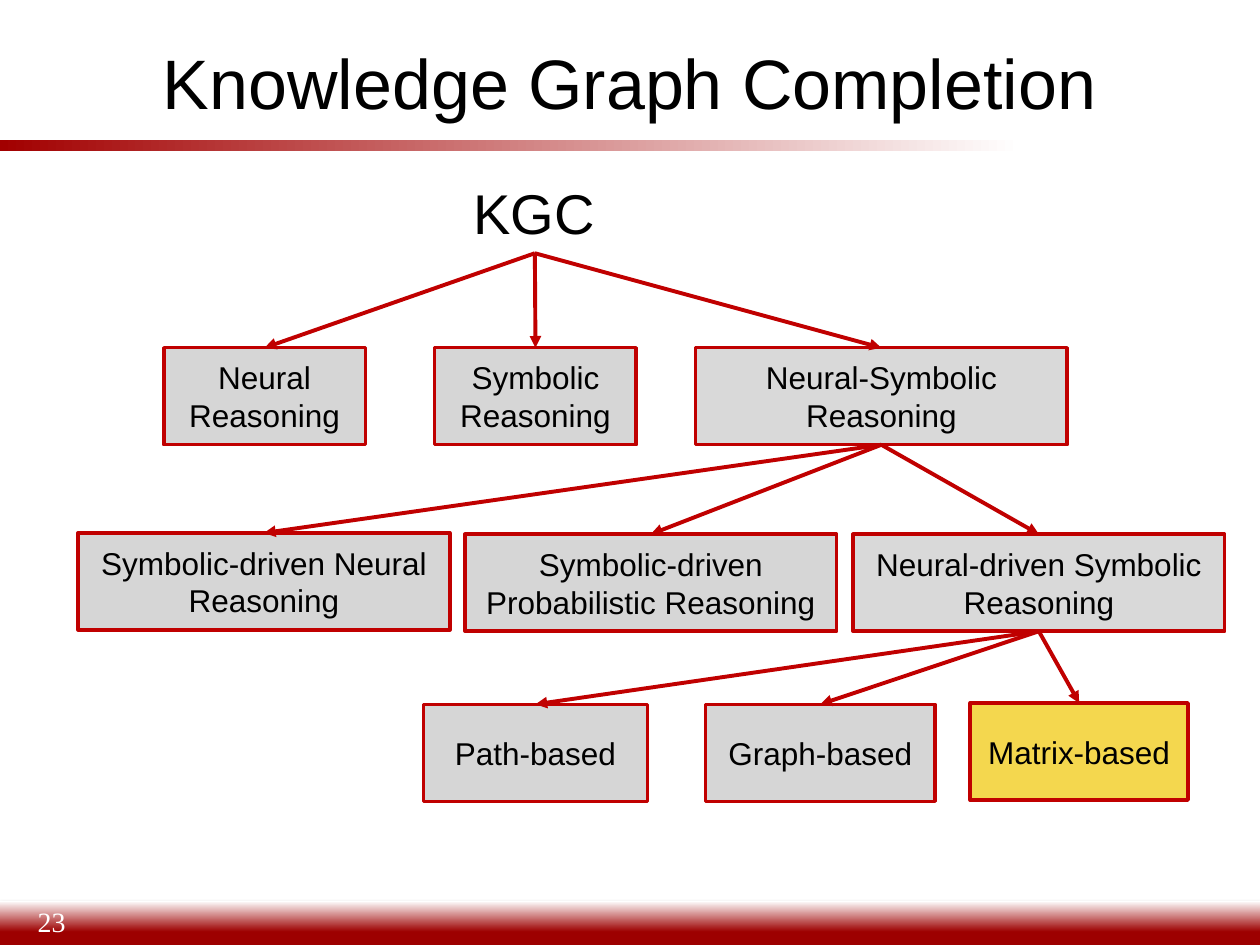
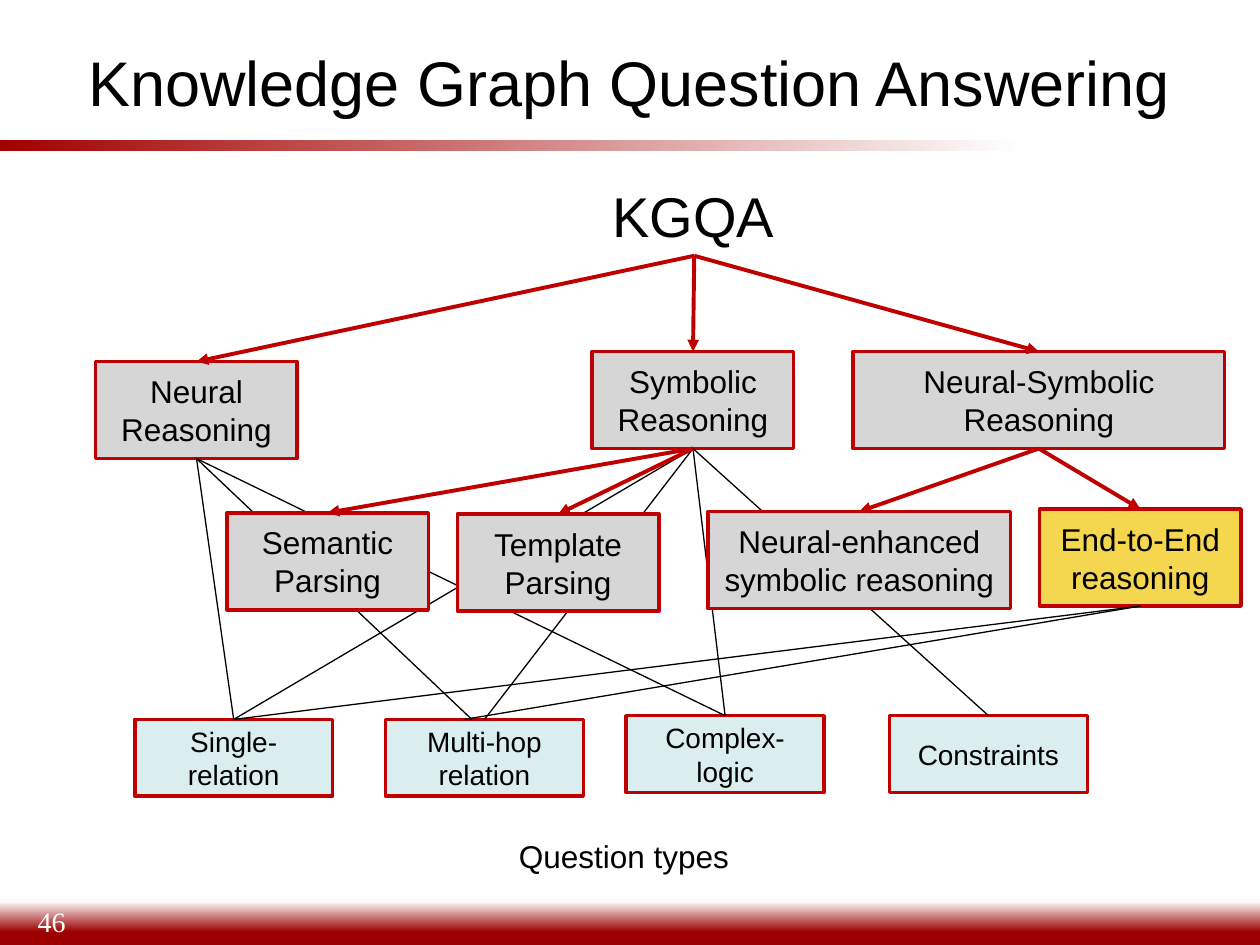
from lxml.etree import SubElement
from pptx import Presentation
from pptx.dml.color import RGBColor
from pptx.enum.shapes import MSO_CONNECTOR, MSO_SHAPE
from pptx.enum.text import MSO_ANCHOR, MSO_AUTO_SIZE, PP_ALIGN
from pptx.oxml.ns import qn
from pptx.util import Inches, Pt

BLACK = RGBColor(0x00, 0x00, 0x00)
WHITE = RGBColor(0xFF, 0xFF, 0xFF)
RED = RGBColor(0xC0, 0x00, 0x00)
BAND_RED = RGBColor(0xA2, 0x00, 0x00)
FOOTER_RED = RGBColor(0x9D, 0x00, 0x00)
GREY = RGBColor(0xD6, 0xD6, 0xD6)
LIGHT_GREY = RGBColor(0xD9, 0xD9, 0xD9)
YELLOW = RGBColor(0xF4, 0xD7, 0x4E)
PALE_BLUE = RGBColor(0xDA, 0xED, 0xEF)

BODY_FONT = "Arial"
NUMBER_FONT = "Times New Roman"
TOP, BOTTOM = 0, 2
METHOD_HEIGHT = 0.77
NARROW, WIDE = 1.6, 2.95
QUESTION_SIZE = (1.57, 0.61)


def set_text(sp, text, size, color=BLACK, font=BODY_FONT, align=PP_ALIGN.LEFT):
    p = sp.text_frame.paragraphs[0]
    p.text = text
    p.alignment = align
    for r in p.runs:
        r.font.size = Pt(size)
        r.font.name = font
        r.font.color.rgb = color


def add_label(slide, text, left, top, width, height, size):
    """Add unwrapped text whose box fits it."""
    sp = slide.shapes.add_textbox(Inches(left), Inches(top), Inches(width), Inches(height))
    sp.text_frame.word_wrap = False
    sp.text_frame.auto_size = MSO_AUTO_SIZE.SHAPE_TO_FIT_TEXT
    set_text(sp, text, size)
    return sp


def add_box(slide, text, left, top, width=NARROW, height=METHOD_HEIGHT, fill=GREY, size=18):
    sp = slide.shapes.add_shape(MSO_SHAPE.RECTANGLE, Inches(left), Inches(top),
                                Inches(width), Inches(height))
    sp.shadow.inherit = False
    sp.fill.solid()
    sp.fill.fore_color.rgb = fill
    sp.line.color.rgb = RED
    sp.line.width = Pt(2)
    sp.text_frame.word_wrap = True
    sp.text_frame.vertical_anchor = MSO_ANCHOR.MIDDLE
    set_text(sp, text, size, align=PP_ALIGN.CENTER)
    return sp


def add_link(slide, parent, child, color=BLACK, width=0.75, shift=0):
    """Join the parent's bottom to the child's top; a shifted end stays free."""
    line = slide.shapes.add_connector(
        MSO_CONNECTOR.STRAIGHT,
        parent.left + parent.width // 2, parent.top + parent.height,
        child.left + child.width // 2 + Inches(shift), child.top)
    line.begin_connect(parent, BOTTOM)
    if not shift:
        line.end_connect(child, TOP)
    line.line.color.rgb = color
    line.line.width = Pt(width)
    SubElement(line._element.spPr, qn("a:effectLst"))
    return line


def add_arrows(slide, parent, children):
    for child in children:
        arrow = add_link(slide, parent, child, RED, 2.25)
        SubElement(arrow.line._get_or_add_ln(), qn("a:tailEnd"), type="triangle")


def add_band(slide, top, height, stops, angle):
    sp = slide.shapes.add_shape(MSO_SHAPE.RECTANGLE, 0, Inches(top), Inches(10), Inches(height))
    sp.shadow.inherit = False
    sp.line.fill.background()
    sp.fill.gradient()
    sp.fill.gradient_angle = angle
    for stop, (position, color) in zip(sp.fill.gradient_stops, stops):
        stop.position = position
        stop.color.rgb = color
    return sp


def add_soft_shadow(sp):
    effects = sp._element.spPr.find(qn("a:effectLst"))
    shadow = SubElement(effects, qn("a:outerShdw"), blurRad=str(Pt(3.1)), dist=str(Pt(1.8)),
                        dir="5400000", rotWithShape="0")
    color = SubElement(shadow, qn("a:srgbClr"), val=str(BLACK))
    SubElement(color, qn("a:alpha"), val="35000")


def add_base_slide(prs, title, title_size, number):
    """Add a slide with the shared bands, page number and title."""
    slide = prs.slides.add_slide(prs.slide_layouts[6])
    add_band(slide, 1.11, 0.09, [(0, BAND_RED), (0.81, WHITE)], 0)
    add_soft_shadow(add_band(slide, 7.15, 0.35, [(0.3, FOOTER_RED), (1, WHITE)], 90))

    page = slide.shapes.add_textbox(Inches(0.2), Inches(7.06), Inches(1.02), Inches(0.5))
    page.text_frame.word_wrap = False
    set_text(page, number, 16, WHITE, NUMBER_FONT)
    heading = slide.shapes.add_textbox(Inches(0.27), Inches(0.21), Inches(9.45), Inches(0.87))
    heading.text_frame.word_wrap = True
    set_text(heading, title, title_size, align=PP_ALIGN.CENTER)
    for sp in (page, heading):
        sp.text_frame.vertical_anchor = MSO_ANCHOR.MIDDLE
    return slide


def build_completion(prs):
    s = add_base_slide(prs, "Knowledge Graph Completion", 40, "23")
    kgc = add_label(s, "KGC", 3.66, 1.37, 1.17, 0.64, 32)
    neural = add_box(s, "Neural Reasoning", 1.3, 2.76)
    symbolic = add_box(s, "Symbolic Reasoning", 3.45, 2.76)
    hybrid = add_box(s, "Neural-Symbolic Reasoning", 5.52, 2.76, WIDE, fill=LIGHT_GREY)
    add_arrows(s, kgc, [neural, symbolic, hybrid])

    symbolic_neural = add_box(s, "Symbolic-driven Neural Reasoning", 0.62, 4.23, WIDE)
    probabilistic = add_box(s, "Symbolic-driven Probabilistic Reasoning", 3.69, 4.24, WIDE)
    neural_symbolic = add_box(s, "Neural-driven Symbolic Reasoning", 6.77, 4.24, WIDE,
                              fill=LIGHT_GREY)
    add_arrows(s, hybrid, [symbolic_neural, probabilistic, neural_symbolic])

    path_based = add_box(s, "Path-based", 3.36, 5.59, 1.78)
    graph_based = add_box(s, "Graph-based", 5.6, 5.59, 1.82)
    matrix_based = add_box(s, "Matrix-based", 7.7, 5.58, 1.73, fill=YELLOW)
    add_arrows(s, neural_symbolic, [path_based, graph_based, matrix_based])


def build_question_answering(prs):
    s = add_base_slide(prs, "Knowledge Graph Question Answering", 36, "46")
    kgqa = add_label(s, "KGQA", 4.76, 1.39, 1.5, 0.64, 32)
    neural = add_box(s, "Neural Reasoning", 0.76, 2.87)
    symbolic = add_box(s, "Symbolic Reasoning", 4.7, 2.79)
    hybrid = add_box(s, "Neural-Symbolic Reasoning", 6.77, 2.79, WIDE)
    add_arrows(s, kgqa, [neural, symbolic, hybrid])

    single, multi_hop, logic, constraints = [
        add_box(s, text, left, top, *QUESTION_SIZE, fill=PALE_BLUE, size=16)
        for text, left, top in [("Single-relation", 1.07, 5.71), ("Multi-hop relation", 3.06, 5.71),
                                ("Complex-logic", 4.97, 5.68), ("Constraints", 7.06, 5.68)]]
    add_label(s, "Question types", 4.02, 6.59, 1.88, 0.4, 18)

    # These links pass behind the row of methods added next.
    for question in (single, multi_hop, logic, constraints):
        add_link(s, symbolic, question)
    for question, shift in [(single, 0), (multi_hop, -0.1), (logic, 0)]:
        add_link(s, neural, question, shift=shift)

    semantic = add_box(s, "Semantic Parsing", 1.8, 4.07)
    template = add_box(s, "Template Parsing", 3.63, 4.08)
    enhanced = add_box(s, "Neural-enhanced symbolic reasoning", 5.62, 4.06, 2.4)
    end_to_end = add_box(s, "End-to-End reasoning", 8.25, 4.04, fill=YELLOW)
    add_arrows(s, symbolic, [semantic, template])
    add_arrows(s, hybrid, [enhanced, end_to_end])
    add_link(s, end_to_end, single)
    add_link(s, end_to_end, multi_hop, shift=-0.16)


def main():
    prs = Presentation()
    prs.slide_width = Inches(10)
    prs.slide_height = Inches(7.5)
    build_completion(prs)
    build_question_answering(prs)
    prs.save("out.pptx")


if __name__ == "__main__":
    main()
